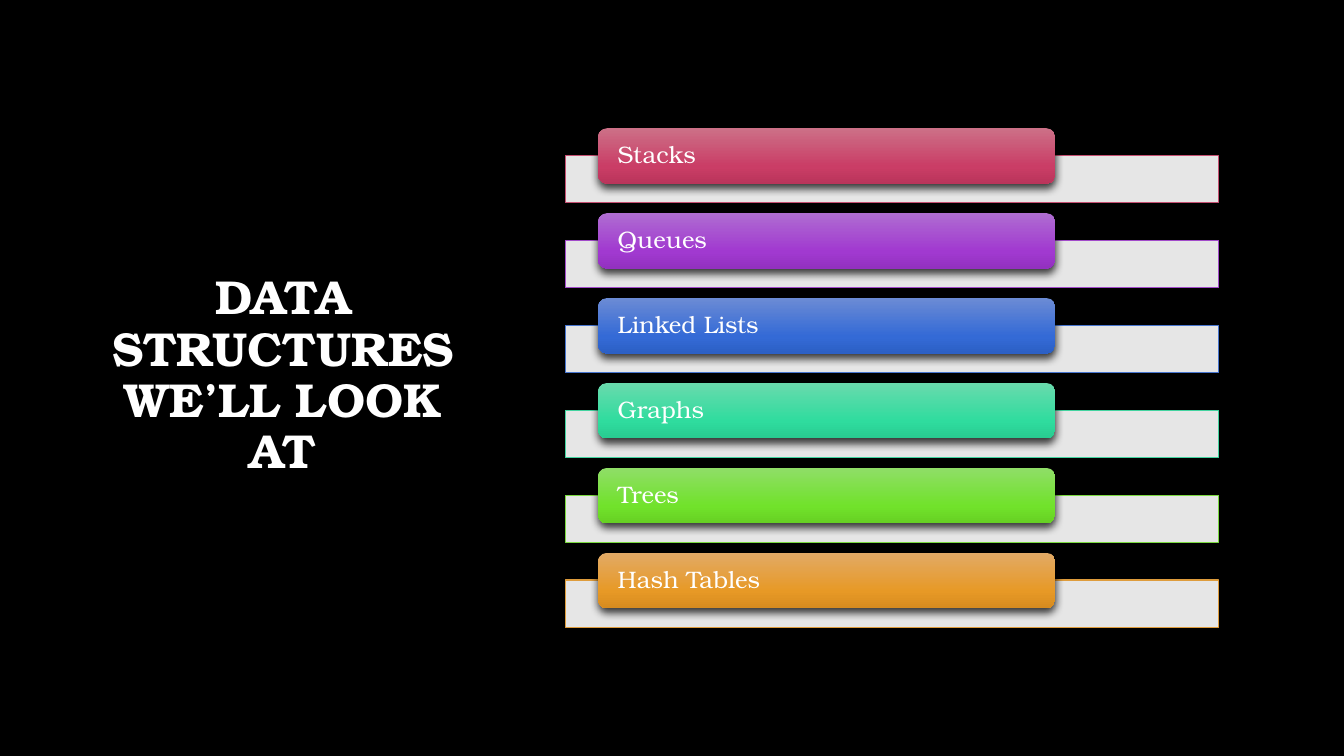
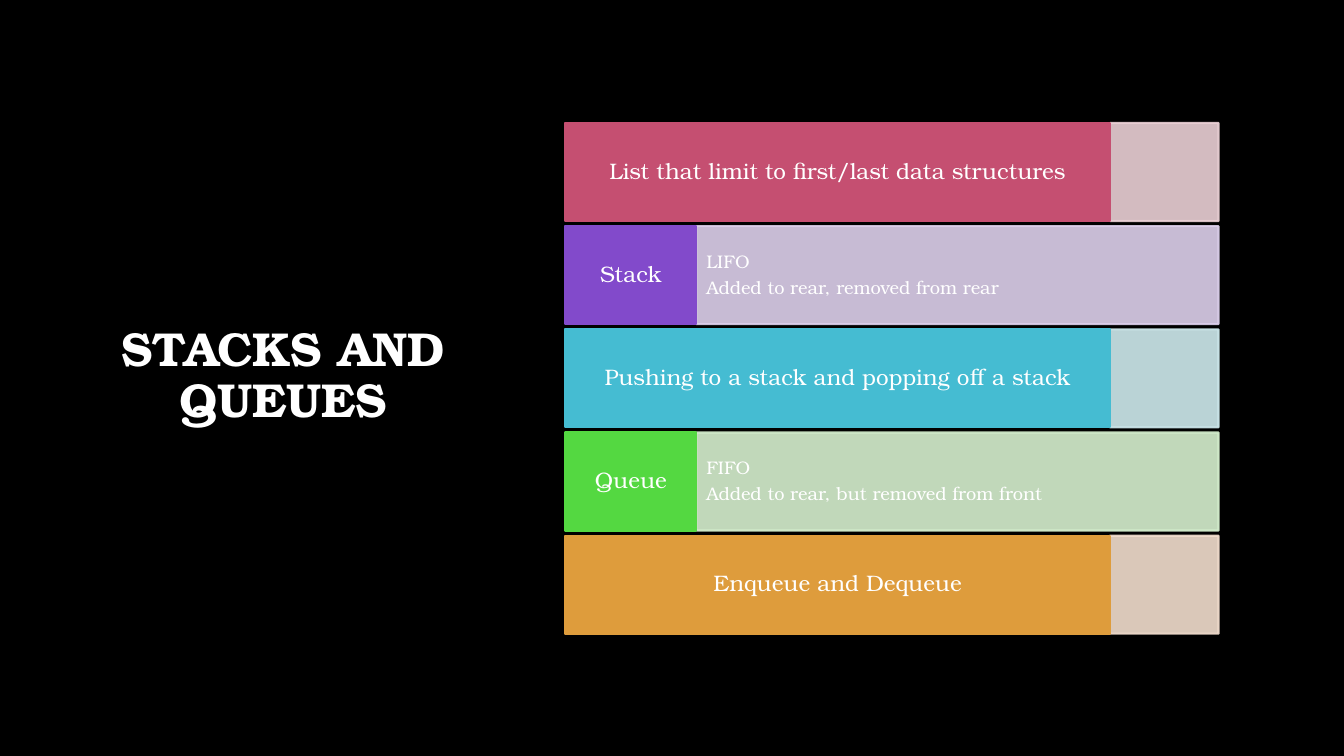
from copy import deepcopy
from dataclasses import dataclass

from lxml.etree import SubElement
from pptx import Presentation
from pptx.dml.color import RGBColor
from pptx.enum.shapes import MSO_SHAPE
from pptx.enum.text import MSO_ANCHOR, PP_ALIGN
from pptx.oxml.ns import qn
from pptx.util import Cm, Pt

STRUCTURES_TITLE = "DATA STRUCTURES WE’LL LOOK AT"
STRUCTURES = [
    ("Stacks", "C54F71", ("CC7087", "CA3D66", "BA355B")),
    ("Queues", "A24BCA", ("AF6DD1", "A139D0", "9331C0")),
    ("Linked Lists", "4775CF", ("6B8BD5", "346AD6", "2C60C5")),
    ("Graphs", "43D4A0", ("69DAAD", "2FDC9E", "28CB90")),
    ("Trees", "7BD940", ("8FDE67", "71E22B", "66D023")),
    ("Hash Tables", "DE9C3C", ("E2AA66", "E79926", "D68B1F")),
]

QUEUES_TITLE = "STACKS AND QUEUES"
TOPICS = [
    ("List that limit to first/last data structures", [], "C54F71", "EAD0D5"),
    ("Stack", ["LIFO", "Added to rear, removed from rear"], "824ACB", "DDD0EC"),
    ("Pushing to a stack and popping off a stack", [], "45BCD2", "CFEAEE"),
    ("Queue", ["FIFO", "Added to rear, but removed from front"], "54D841", "D6F0CF"),
    ("Enqueue and Dequeue", [], "DE9C3C", "F2DECE"),
]


@dataclass(frozen=True)
class Theme:
    font: str = "TeX Gyre Bonum"
    background: str = "000000"
    text: str = "FFFFFF"
    band: str = "FFFFFF"
    shadow: str = "000000"
    title_size: int = 34
    button_size: int = 17
    topic_size: int = 16
    detail_size: int = 13
    line_spacing: float = 0.9
    opacity: int = 90
    gradient_positions: tuple = (0, 0.69, 1)


THEME = Theme()
LIST_LEFT, LIST_WIDTH = 14.25, 16.46


def write(holder, text, size, bold=False, align=PP_ALIGN.LEFT, inset=(0.25, 0.13), after=0.35):
    frame = holder.text_frame
    frame.word_wrap = True
    frame.vertical_anchor = MSO_ANCHOR.MIDDLE
    frame.margin_left = frame.margin_right = Cm(inset[0])
    frame.margin_top = frame.margin_bottom = Cm(inset[1])
    frame.text = text
    for paragraph in frame.paragraphs:
        paragraph.alignment = align
        paragraph.line_spacing = THEME.line_spacing
        paragraph.space_after = Pt(round(size * after, 1))
        font = paragraph.font
        font.name, font.size, font.bold = THEME.font, Pt(size), bold
        font.color.rgb = RGBColor.from_string(THEME.text)


def set_opacity(color_format_parent, percent):
    for color in color_format_parent.iter(qn("a:srgbClr")):
        SubElement(color, qn("a:alpha")).set("val", str(percent * 1000))


def add_block(slide, left, top, width, height, fill=None, line=None, line_width=1.5,
              kind=MSO_SHAPE.RECTANGLE):
    block = slide.shapes.add_shape(kind, Cm(left), Cm(top), Cm(width), Cm(height))
    block.shadow.inherit = False
    if fill:
        block.fill.solid()
        block.fill.fore_color.rgb = RGBColor.from_string(fill)
    if line:
        block.line.color.rgb = RGBColor.from_string(line)
        block.line.width = Pt(line_width)
    else:
        block.line.fill.background()
    return block


def add_shadow(block, opacity, blur):
    effects = block.element.spPr.find(qn("a:effectLst"))
    shadow = SubElement(effects, qn("a:outerShdw"), blurRad=str(Pt(blur)), dist=str(Pt(3)),
                        dir="5400000", rotWithShape="0")
    SubElement(shadow, qn("a:srgbClr")).set("val", THEME.shadow)
    set_opacity(shadow, opacity)


def fill_gradient(block, colors):
    block.fill.gradient()
    block.fill.gradient_angle = 270
    stop_list = next(block.element.spPr.iter(qn("a:gsLst")))
    stop_list.append(deepcopy(stop_list[-1]))
    for stop, color, position in zip(block.fill.gradient_stops, colors, THEME.gradient_positions):
        stop.color.rgb = RGBColor.from_string(color)
        stop.position = position


def add_titled_slide(deck, title):
    slide = deck.slides.add_slide(deck.slide_layouts[6])
    heading = slide.shapes.add_textbox(Cm(2.08), Cm(1.7), Cm(10.11), Cm(15.57))
    write(heading, title, THEME.title_size, bold=True, align=PP_ALIGN.CENTER, after=0)
    return slide


def build_structures(deck):
    slide = add_titled_slide(deck, STRUCTURES_TITLE)
    for index, (name, outline, gradient) in enumerate(STRUCTURES):
        top = 3.23 + index * 2.14
        band = add_block(slide, LIST_LEFT, top + 0.69, LIST_WIDTH, 1.19,
                         THEME.band, outline, line_width=1)
        set_opacity(band.element.spPr.find(qn("a:solidFill")), THEME.opacity)
        add_shadow(band, 54, 4)
        button = add_block(slide, LIST_LEFT + 0.82, top, 11.53, 1.4,
                           kind=MSO_SHAPE.ROUNDED_RECTANGLE)
        fill_gradient(button, gradient)
        add_shadow(button, 76, 6)
        write(button, name, THEME.button_size, inset=(0.43, 0))


def build_queues(deck):
    slide = add_titled_slide(deck, QUEUES_TITLE)
    height = 2.47
    for index, (topic, details, strong, pale) in enumerate(TOPICS):
        top = 3.1 + index * 2.6
        topic_width = 3.3 if details else 13.72
        panel = add_block(slide, LIST_LEFT + topic_width, top, LIST_WIDTH - topic_width, height,
                          pale, pale)
        set_opacity(panel.element.spPr, THEME.opacity)
        if details:
            write(panel, "\n".join(details), THEME.detail_size, inset=(0.25, 0.63))
        label = add_block(slide, LIST_LEFT, top, topic_width, height, strong, strong)
        write(label, topic, THEME.topic_size, align=PP_ALIGN.CENTER,
              inset=(0.18 if details else 0.03, 0.25))


def main():
    deck = Presentation()
    deck.slide_width, deck.slide_height = Cm(33.87), Cm(19.05)
    backdrop = deck.slide_master.background.fill
    backdrop.solid()
    backdrop.fore_color.rgb = RGBColor.from_string(THEME.background)
    build_structures(deck)
    build_queues(deck)
    deck.save("out.pptx")


if __name__ == "__main__":
    main()
